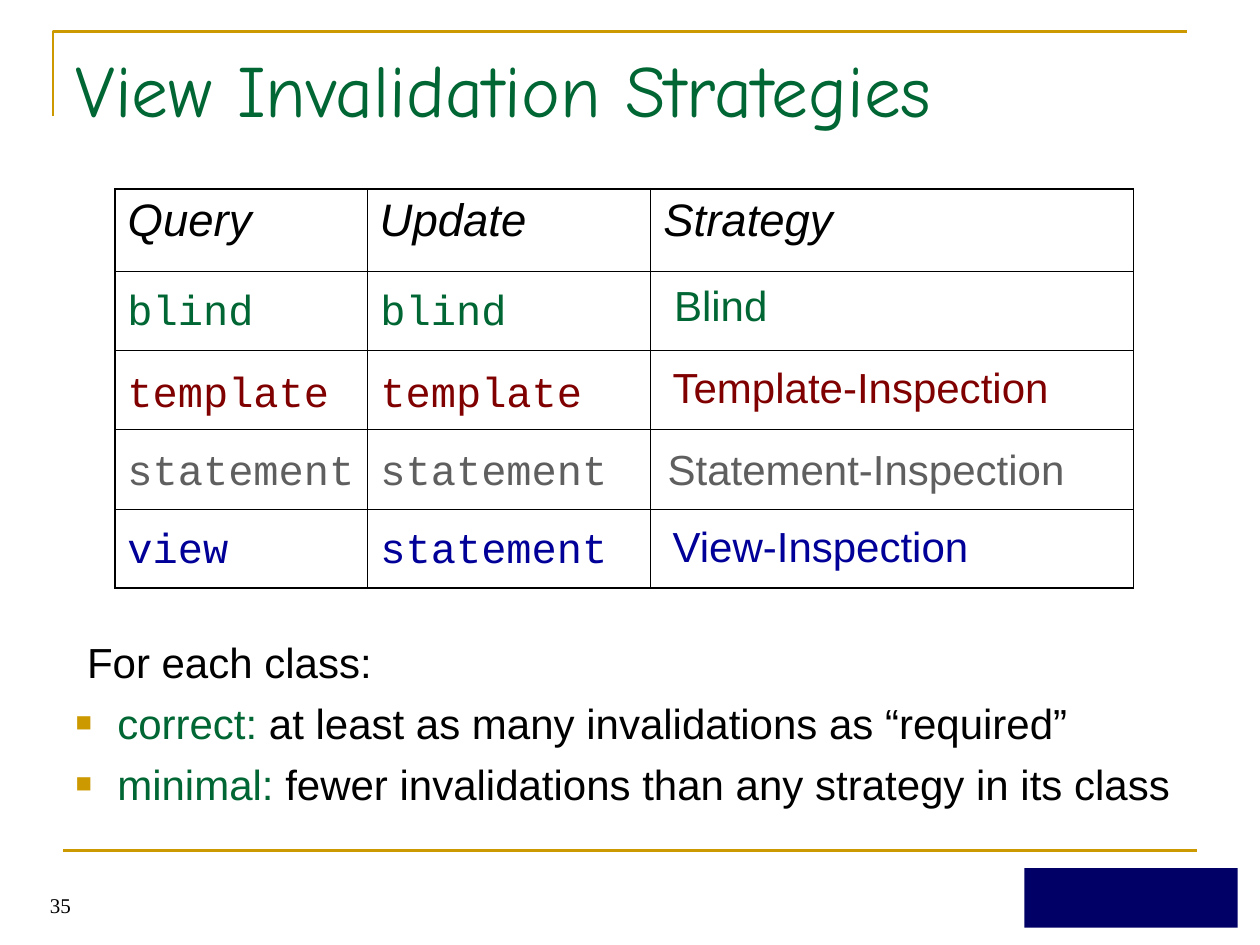
"""Build the View Invalidation Strategies slide."""
from dataclasses import dataclass

from lxml import etree
from pptx import Presentation
from pptx.dml.color import RGBColor
from pptx.enum.shapes import MSO_CONNECTOR, MSO_SHAPE
from pptx.enum.text import MSO_ANCHOR, MSO_AUTO_SIZE, PP_ALIGN
from pptx.oxml.ns import qn
from pptx.util import Cm, Pt

STRAIGHT = MSO_CONNECTOR.STRAIGHT
RECTANGLE = MSO_SHAPE.RECTANGLE
TOP, BOTTOM = MSO_ANCHOR.TOP, MSO_ANCHOR.BOTTOM
NO_FIT = MSO_AUTO_SIZE.NONE
LEFT, RIGHT = PP_ALIGN.LEFT, PP_ALIGN.RIGHT


@dataclass(frozen=True)
class Theme:
    gold: str = "CC9900"
    green: str = "006633"
    maroon: str = "800000"
    gray: str = "5F5F5F"
    blue: str = "000099"
    navy: str = "000066"
    black: str = "000000"
    sans: str = "Arial"
    mono: str = "Courier New"
    serif: str = "Times New Roman"
    title_font: str = "Comic Neue"
    title: float = 42
    header: float = 26
    body: float = 24
    number: float = 12
    rule: float = 1.5
    outer: float = 1.08
    inner: float = 0.45


@dataclass(frozen=True)
class Box:
    x: float
    y: float
    w: float
    h: float = 1.27


@dataclass(frozen=True)
class Style:
    font: str
    size: float
    color: str
    italic: bool = False


@dataclass(frozen=True)
class Strategy:
    query: str
    update: str
    y: float
    name: str
    name_box: Box
    color: str


T = Theme()
QUERY_X, UPDATE_X = 2.32, 7.42
CHAR_W = 0.51
COLS = (5.08, 5.72, 9.73)
ROWS = (1.65, 1.6, 1.6, 1.6, 1.6)
HEADERS = ("Query", "Update", "Strategy")
STRATEGIES = (
    Strategy("blind", "blind", 5.59, "Blind", Box(13.34, 5.51, 2.39), T.green),
    Strategy("template", "template", 7.24, "Template-Inspection", Box(13.31, 7.16, 8.92), T.maroon),
    Strategy("statement", "statement", 8.81, "Statement-Inspection", Box(13.21, 8.81, 8.61), T.gray),
    Strategy("view", "statement", 10.39, "View-Inspection", Box(13.31, 10.36, 8.08), T.blue),
)
CRITERIA = (
    ("correct:", " at least as many invalidations as “required”"),
    ("minimal:", " fewer invalidations than any strategy in its class"),
)


def place(sp, box: Box) -> None:
    """Move and size a shape."""
    sp.left, sp.top, sp.width, sp.height = Cm(box.x), Cm(box.y), Cm(box.w), Cm(box.h)


def format_font(font, style: Style) -> None:
    """Apply a text style."""
    font.name, font.size, font.italic = style.font, Pt(style.size), style.italic
    font.color.rgb = RGBColor.from_string(style.color)


def add_run(p, text: str, style: Style) -> None:
    """Append a styled run."""
    r = p.add_run()
    r.text = text
    format_font(r.font, style)


def add_text(s, box: Box, text: str, style: Style, align=LEFT, anchor=TOP) -> None:
    """Add a one-line text box."""
    tf = s.shapes.add_textbox(Cm(box.x), Cm(box.y), Cm(box.w), Cm(box.h)).text_frame
    tf.word_wrap, tf.vertical_anchor = False, anchor
    p = tf.paragraphs[0]
    p.alignment = align
    add_run(p, text, style)


def add_rules(s) -> None:
    """Draw the corner frame and the footer line."""
    builder = s.shapes.build_freeform(Cm(1.07), Cm(2.34))
    builder.add_line_segments([(Cm(1.07), Cm(0.64)), (Cm(23.93), Cm(0.64))], close=False)
    frame = builder.convert_to_shape()
    frame.fill.background()
    frame.shadow.inherit = False
    footer = s.shapes.add_connector(STRAIGHT, Cm(1.27), Cm(17.15), Cm(24.13), Cm(17.15))
    etree.SubElement(footer._element.spPr, qn("a:effectLst"))
    for sp in (frame, footer):
        sp.line.color.rgb = RGBColor.from_string(T.gold)
        sp.line.width = Pt(T.rule)


def add_footer_block(s, box: Box) -> None:
    """Draw the plain block in the footer corner."""
    sp = s.shapes.add_shape(RECTANGLE, Cm(box.x), Cm(box.y), Cm(box.w), Cm(box.h))
    sp.fill.solid()
    sp.fill.fore_color.rgb = RGBColor.from_string(T.navy)
    sp.line.fill.background()
    sp.shadow.inherit = False


def set_bullet(p) -> None:
    """Give a paragraph a gold square bullet."""
    pPr = p._p.get_or_add_pPr()
    pPr.set("marL", str(Cm(0.84)))
    pPr.set("indent", str(Cm(-0.84)))
    color = etree.SubElement(pPr, qn("a:buClr"))
    etree.SubElement(color, qn("a:srgbClr"), val=T.gold)
    etree.SubElement(pPr, qn("a:buSzPct"), val="65000")
    etree.SubElement(pPr, qn("a:buFont"), typeface=T.sans)
    etree.SubElement(pPr, qn("a:buChar"), char="■")


def fill_body(sp) -> None:
    """Write the criteria list into the body placeholder."""
    place(sp, Box(1.27, 12.7, 22.86, 3.73))
    plain, key = Style(T.sans, T.body, T.black), Style(T.sans, T.body, T.green)
    tf = sp.text_frame
    tf.auto_size = NO_FIT
    p = tf.paragraphs[0]
    pPr = p._p.get_or_add_pPr()
    pPr.set("marL", str(Cm(0.23)))
    pPr.set("indent", "0")
    etree.SubElement(pPr, qn("a:buNone"))
    p.space_before = Pt(0)
    add_run(p, "For each class:", plain)
    for term, meaning in CRITERIA:
        p = tf.add_paragraph()
        set_bullet(p)
        p.space_before = Pt(6)
        add_run(p, term, key)
        add_run(p, meaning, plain)


def set_borders(cell, row: int, col: int) -> None:
    """Draw thick outer and thin inner cell borders."""
    edges = {"L": col == 0, "R": col == len(COLS) - 1, "T": row == 0, "B": row == len(ROWS) - 1}
    tcPr = cell._tc.get_or_add_tcPr()
    for side, is_outer in edges.items():
        width = Pt(T.outer if is_outer else T.inner)
        ln = etree.SubElement(tcPr, qn(f"a:ln{side}"), w=str(width))
        fill = etree.SubElement(ln, qn("a:solidFill"))
        etree.SubElement(fill, qn("a:srgbClr"), val=T.black)


def add_grid(s) -> None:
    """Add the strategy table with its header row."""
    table = s.shapes.add_table(len(ROWS), len(COLS), Cm(QUERY_X), Cm(3.81),
                               Cm(sum(COLS)), Cm(sum(ROWS))).table
    table.first_row = table.horz_banding = False
    for col, width in enumerate(COLS):
        table.columns[col].width = Cm(width)
    for row, height in enumerate(ROWS):
        table.rows[row].height = Cm(height)
        for col in range(len(COLS)):
            cell = table.cell(row, col)
            set_borders(cell, row, col)
            cell.fill.background()
    for col, text in enumerate(HEADERS):
        add_run(table.cell(0, col).text_frame.paragraphs[0], text,
                Style(T.sans, T.header, T.black, italic=True))


def add_strategy(s, item: Strategy) -> None:
    """Label one table row."""
    mono = Style(T.mono, T.body, item.color)
    for x, text in ((QUERY_X, item.query), (UPDATE_X, item.update)):
        add_text(s, Box(x, item.y, CHAR_W * (len(text) + 1)), text, mono)
    add_text(s, item.name_box, item.name, Style(T.sans, T.body, item.color))


def main() -> None:
    """Build and save the slide."""
    prs = Presentation()
    prs.slide_width, prs.slide_height = Cm(25.4), Cm(19.05)
    s = prs.slides.add_slide(prs.slide_layouts[1])
    add_rules(s)
    add_footer_block(s, Box(20.65, 17.5, 4.3, 1.2))
    title = s.shapes.title
    place(title, Box(1.27, 0.76, 22.86, 3.18))
    tf = title.text_frame
    tf.text = "View Invalidation Strategies"
    tf.vertical_anchor, tf.auto_size = TOP, NO_FIT
    tf.paragraphs[0].alignment = LEFT
    format_font(tf.paragraphs[0].runs[0].font, Style(T.title_font, T.title, T.green))
    fill_body(s.placeholders[1])
    add_grid(s)
    for item in STRATEGIES:
        add_strategy(s, item)
    add_text(s, Box(0, 17.35, 1.68), "35", Style(T.serif, T.number, T.black),
             align=RIGHT, anchor=BOTTOM)
    prs.save("out.pptx")


if __name__ == "__main__":
    main()
